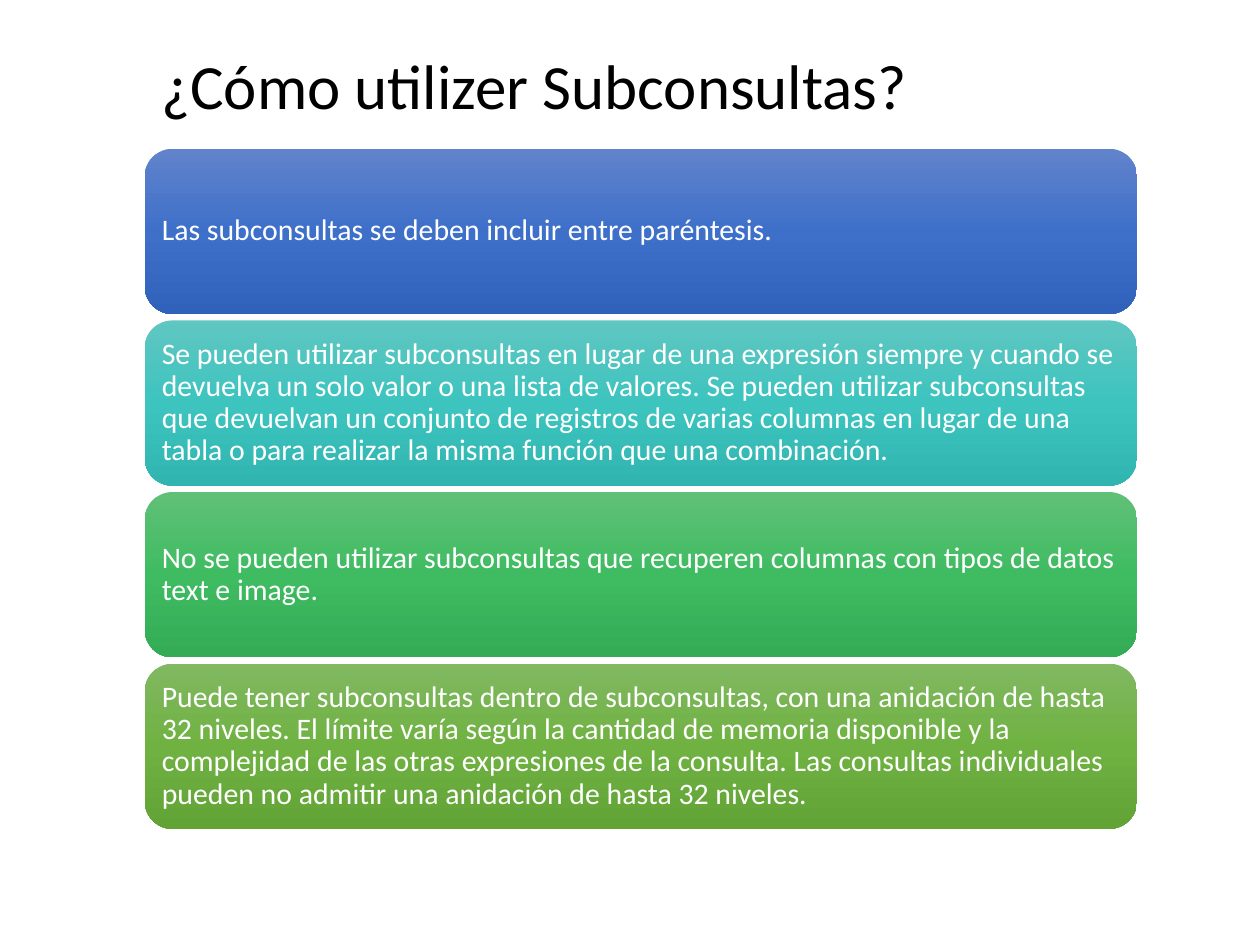
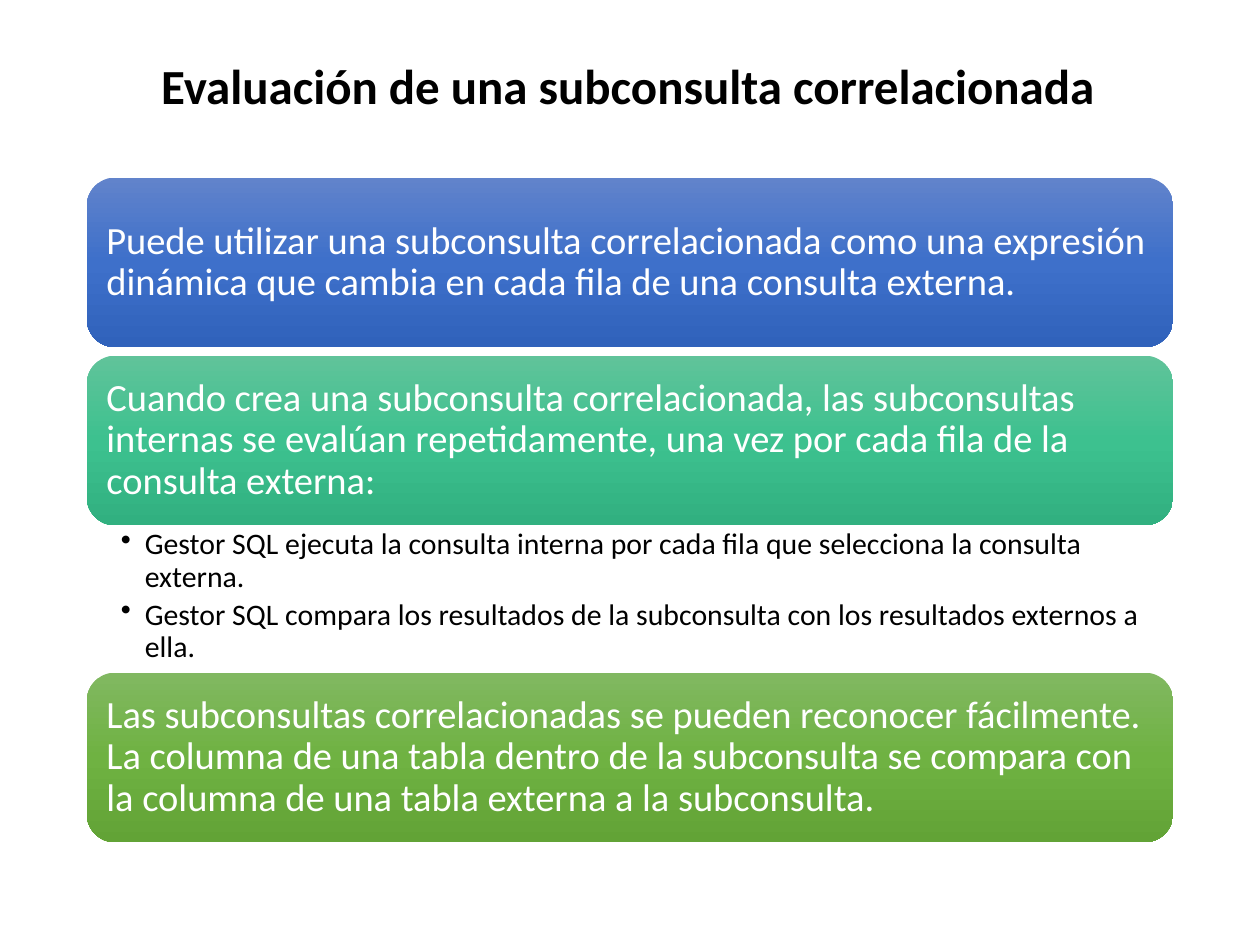
import copy

import pptx
import pptx.dml.color
import pptx.enum.shapes
import pptx.enum.text
import pptx.oxml
import pptx.oxml.ns
import pptx.util

Cm = pptx.util.Cm
Pt = pptx.util.Pt
RGB = pptx.dml.color.RGBColor
ANCHOR = pptx.enum.text.MSO_ANCHOR
qn = pptx.oxml.ns.qn

BLACK = RGB(0x00, 0x00, 0x00)
WHITE = RGB(0xFF, 0xFF, 0xFF)
BLUE = (RGB(0x61, 0x83, 0xCB), RGB(0x3E, 0x70, 0xCA), RGB(0x30, 0x62, 0xBB))
TURQUOISE = (RGB(0x60, 0xC6, 0xC1), RGB(0x3D, 0xC4, 0xBF), RGB(0x30, 0xB5, 0xB0))
EMERALD = (RGB(0x60, 0xC3, 0x9A), RGB(0x3D, 0xC1, 0x8F), RGB(0x31, 0xB0, 0x80))
GREEN = (RGB(0x60, 0xC0, 0x77), RGB(0x3F, 0xBC, 0x62), RGB(0x33, 0xAC, 0x55))
LIME = (RGB(0x81, 0xB8, 0x61), RGB(0x6F, 0xB2, 0x42), RGB(0x62, 0xA3, 0x36))


def write(tf, *texts, size, color=BLACK, bold=False, anchor=ANCHOR.MIDDLE,
          insets=(0.25, 0.13, 0.25, 0.13), bullet=False, after=0):
    tf.word_wrap = True
    tf.vertical_anchor = anchor
    tf.margin_left, tf.margin_top, tf.margin_right, tf.margin_bottom = map(Cm, insets)
    for i, text in enumerate(texts):
        p = tf.paragraphs[0] if i == 0 else tf.add_paragraph()
        p.alignment = pptx.enum.text.PP_ALIGN.LEFT
        p.line_spacing = 0.9
        p.space_after = Pt(after)
        if bullet:
            pPr = p._p.get_or_add_pPr()
            pPr.set("marL", str(Cm(0.48)))
            pPr.set("indent", str(-Cm(0.48)))
            bu = pptx.oxml.parse_xml(
                '<a:buChar xmlns:a="http://schemas.openxmlformats.org/drawingml/2006/main" char="•"/>')
            pPr.append(bu)
        r = p.add_run()
        r.text = text
        r.font.name = "Calibri"
        r.font.size = Pt(size)
        r.font.bold = bold
        r.font.color.rgb = color


class Deck:
    def __init__(self):
        self.prs = pptx.Presentation()
        self.prs.slide_width = Cm(25.4)
        self.prs.slide_height = Cm(19.05)
        self.s = None

    def slide(self, title, **style):
        self.s = self.prs.slides.add_slide(self.prs.slide_layouts[6])
        self.text(3, 1.02, 19.8, 1.55, title, **style)

    def text(self, x, y, w, h, *texts, **style):
        sp = self.s.shapes.add_textbox(Cm(x), Cm(y), Cm(w), Cm(h))
        write(sp.text_frame, *texts, **style)

    def panel(self, x, y, w, h, text, colors, size, inset):
        sp = self.s.shapes.add_shape(
            pptx.enum.shapes.MSO_SHAPE.ROUNDED_RECTANGLE, Cm(x), Cm(y), Cm(w), Cm(h))
        sp.shadow.inherit = False
        sp.line.fill.background()
        sp.fill.gradient()
        sp.fill.gradient_angle = 270
        stops = sp._element.spPr.find(".//" + qn("a:gsLst"))
        stops.append(copy.deepcopy(stops[0]))
        for i, (stop, color) in enumerate(zip(sp.fill.gradient_stops, colors)):
            stop.position = i / 2
            stop.color.rgb = color
        write(sp.text_frame, text, size=size, color=WHITE, insets=(inset,) * 4)

    def stack(self, x, y, w, h, gap, panels, size, inset, list_height=0):
        for text, colors, *items in panels:
            self.panel(x, y, w, h, text, colors, size, inset)
            y += h
            if items:
                self.text(x, y, w, list_height, *items, size=17, anchor=ANCHOR.TOP,
                          insets=(0.69, 0.08, 0.43, 0.08), bullet=True, after=3.4)
                y += list_height
            else:
                y += gap


def main():
    deck = Deck()

    deck.slide("¿Cómo utilizer Subconsultas?", size=36)
    deck.stack(2.92, 3, 20, 3.33, 0.13, [
        ("Las subconsultas se deben incluir entre paréntesis.", BLUE),
        ("Se pueden utilizar subconsultas en lugar de una expresión siempre y cuando se "
         "devuelva un solo valor o una lista de valores. Se pueden utilizar subconsultas "
         "que devuelvan un conjunto de registros de varias columnas en lugar de una tabla "
         "o para realizar la misma función que una combinación.", TURQUOISE),
        ("No se pueden utilizar subconsultas que recuperen columnas con tipos de datos "
         "text e image.", GREEN),
        ("Puede tener subconsultas dentro de subconsultas, con una anidación de hasta 32 "
         "niveles. El límite varía según la cantidad de memoria disponible y la complejidad "
         "de las otras expresiones de la consulta. Las consultas individuales pueden no "
         "admitir una anidación de hasta 32 niveles.", LIME),
    ], size=17, inset=0.18)

    deck.slide("Evaluación de una subconsulta correlacionada", size=28, bold=True)
    deck.stack(1.75, 3.58, 21.9, 3.42, 0.17, [
        ("Puede utilizar una subconsulta correlacionada como una expresión dinámica que "
         "cambia en cada fila de una consulta externa.", BLUE),
        ("Cuando crea una subconsulta correlacionada, las subconsultas internas se evalúan "
         "repetidamente, una vez por cada fila de la consulta externa:", EMERALD,
         "Gestor SQL ejecuta la consulta interna por cada fila que selecciona la consulta "
         "externa.",
         "Gestor SQL compara los resultados de la subconsulta con los resultados externos a "
         "ella."),
        ("Las subconsultas correlacionadas se pueden reconocer fácilmente. La columna de una "
         "tabla dentro de la subconsulta se compara con la columna de una tabla externa a la "
         "subconsulta.", LIME),
    ], size=22, inset=0.23, list_height=2.97)

    deck.prs.save("out.pptx")


if __name__ == "__main__":
    main()
